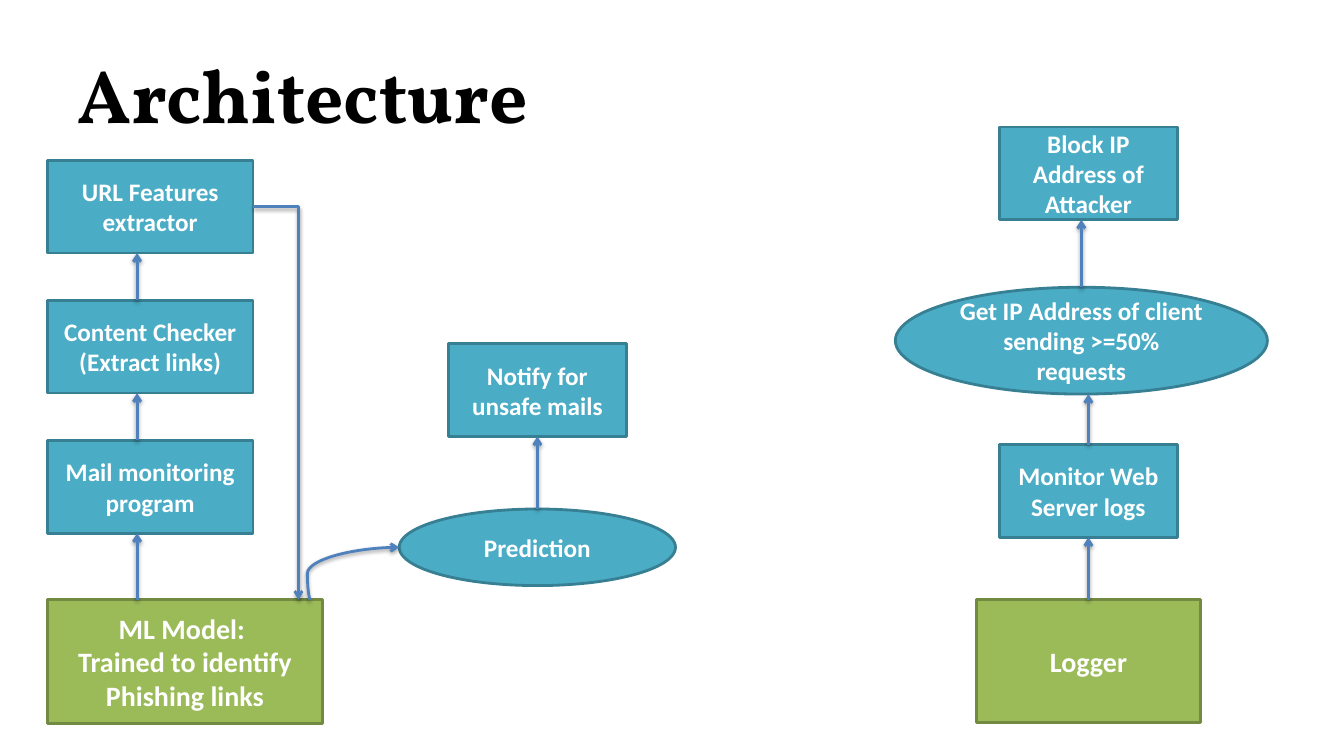
import pptx
import pptx.util
import pptx.dml.color
import pptx.enum.shapes
import pptx.enum.text
import pptx.oxml
import pptx.oxml.ns
from lxml import etree

Inches = pptx.util.Inches
SHAPES = pptx.enum.shapes.MSO_SHAPE
LINES = pptx.enum.shapes.MSO_CONNECTOR
ALIGN = pptx.enum.text.PP_ALIGN
MIDDLE = pptx.enum.text.MSO_ANCHOR.MIDDLE

COLOURS = {
    "title": "000000",
    "text": "FFFFFF",
    "step": "4BACC6",
    "step_line": "377F92",
    "source": "9BBB59",
    "source_line": "738A42",
    "arrow": "4F81BD",
    "shadow": "000000",
}
STEP_HEIGHT = 0.92
NARROW_STEP = 1.77


def colour(name):
    """Return the named colour."""
    return pptx.dml.color.RGBColor.from_string(COLOURS[name])


def format_text(frame, lines, align, tone, **font_values):
    """Fill a text frame with paragraphs in one font format."""
    frame.word_wrap = True
    frame.vertical_anchor = MIDDLE
    for index, line in enumerate(lines):
        para = frame.add_paragraph() if index else frame.paragraphs[0]
        para.alignment = align
        span = para.add_run()
        span.text = line
        for name, value in font_values.items():
            setattr(span.font, name, value)
        span.font.color.rgb = colour(tone)


def add_node(page, box, lines, kind="step", outline=SHAPES.RECTANGLE):
    """Draw one labelled node of the diagram."""
    node = page.shapes.add_shape(outline, *map(Inches, box))
    node.shadow.inherit = False
    node.fill.solid()
    node.fill.fore_color.rgb = colour(kind)
    node.line.color.rgb = colour(kind + "_line")
    node.line.width = pptx.util.Pt(2)
    size = pptx.util.Pt(20 if kind == "source" else 18)
    format_text(node.text_frame, lines, ALIGN.CENTER, "text",
                name="Calibri", size=size, bold=True)
    return node


def add_arrow(page, start, end, route=LINES.STRAIGHT):
    """Draw a shadowed arrow between two points."""
    arrow = page.shapes.add_connector(route, *start, *end)
    arrow.line.color.rgb = colour("arrow")
    arrow.line.width = pptx.util.Pt(2)
    qn = pptx.oxml.ns.qn
    properties = arrow._element.spPr
    etree.SubElement(properties.find(qn("a:ln")), qn("a:tailEnd"), type="arrow")
    effects = etree.SubElement(properties, qn("a:effectLst"))
    shadow = etree.SubElement(effects, qn("a:outerShdw"), blurRad="39370",
                              dist="20320", dir="5400000", rotWithShape="0")
    tone = etree.SubElement(shadow, qn("a:srgbClr"), val=COLOURS["shadow"])
    etree.SubElement(tone, qn("a:alpha"), val="38000")
    return arrow


def reshape_route(arrow, preset, **adjustments):
    """Set the preset route of a connector and its adjustments."""
    qn = pptx.oxml.ns.qn
    geometry = arrow._element.spPr.find(qn("a:prstGeom"))
    geometry.set("prst", preset)
    guides = geometry.find(qn("a:avLst"))
    for name, value in adjustments.items():
        etree.SubElement(guides, qn("a:gd"), name=name, fmla=f"val {value}")


def link_upward(page, nodes, x):
    """Join nodes listed from top to bottom with upward arrows."""
    for upper, lower in zip(nodes, nodes[1:]):
        add_arrow(page, (Inches(x), lower.top),
                  (Inches(x), upper.top + upper.height))


def draw_title(page, box):
    """Place and format the slide title."""
    title = page.shapes.title
    for name, value in zip(("left", "top", "width", "height"), box):
        setattr(title, name, Inches(value))
    format_text(title.text_frame, ["Architecture"], ALIGN.LEFT, "title",
                name="Vollkorn", size=pptx.util.Pt(54), bold=True)


def draw_mail_column(page, box):
    """Draw the mail steps above the model and return the model."""
    left, top, width, height = box
    model_height, step_width, pitch = 1.23, 2.04, 1.39
    steps = [
        ["URL Features extractor"],
        ["Content Checker", "(Extract links)"],
        ["Mail monitoring program"],
    ]
    nodes = [
        add_node(page, (left, top + row * pitch, step_width, STEP_HEIGHT), lines)
        for row, lines in enumerate(steps)
    ]
    model = add_node(page, (left, top + height - model_height, width, model_height),
                     ["ML Model: ", "Trained to identify Phishing links"], "source")
    link_upward(page, nodes + [model], left + 0.89)
    extractor = nodes[0]
    feed = add_arrow(page, (extractor.left + extractor.width,
                            extractor.top + extractor.height // 2),
                     (Inches(left + 2.49), model.top), LINES.ELBOW)
    reshape_route(feed, "bentConnector2")
    return model


def draw_prediction(page, box, model):
    """Draw the prediction fed by the model and its notification."""
    left, top, width, height = box
    oval_height = 0.76
    centre = left + width / 2
    notice = add_node(page, (centre - NARROW_STEP / 2, top, NARROW_STEP, STEP_HEIGHT),
                      ["Notify for unsafe mails"])
    prediction = add_node(page, (left, top + height - oval_height, width, oval_height),
                          ["Prediction"], outline=SHAPES.OVAL)
    link_upward(page, [notice, prediction], centre)
    curve = add_arrow(page, (model.left + Inches(2.61), model.top),
                      (prediction.left, prediction.top + prediction.height // 2),
                      LINES.CURVE)
    reshape_route(curve, "curvedConnector3", adj1=-3600)


def draw_log_column(page, box):
    """Draw the web log steps from monitoring to blocking."""
    left, top, width, height = box
    centre = left + width / 2 + 0.07
    parts = [
        (0, NARROW_STEP, STEP_HEIGHT, "Block IP Address of Attacker", "step", SHAPES.RECTANGLE),
        (1.59, width, 1.06, "Get IP Address of client sending >=50% requests",
         "step", SHAPES.OVAL),
        (3.15, NARROW_STEP, STEP_HEIGHT, "Monitor Web Server logs", "step", SHAPES.RECTANGLE),
        (height - 1.22, 2.22, 1.22, "Logger", "source", SHAPES.RECTANGLE),
    ]
    nodes = []
    for offset, node_width, node_height, label, kind, outline in parts:
        middle = left + width / 2 if outline == SHAPES.OVAL else centre
        node_box = (middle - node_width / 2, top + offset, node_width, node_height)
        nodes.append(add_node(page, node_box, [label], kind, outline))
    link_upward(page, nodes[:2], left + width / 2)
    link_upward(page, nodes[1:], centre)


def main():
    """Build and save the slide."""
    deck = pptx.Presentation()
    deck.slide_width, deck.slide_height = Inches(13.33), Inches(7.5)
    page = deck.slides.add_slide(deck.slide_layouts[5])
    draw_title(page, (0.67, 0.3, 12, 1.25))
    model = draw_mail_column(page, (0.47, 1.59, 2.73, 5.59))
    draw_prediction(page, (3.96, 3.41, 2.74, 2.4), model)
    draw_log_column(page, (8.88, 1.26, 3.69, 5.91))
    deck.save("out.pptx")


if __name__ == "__main__":
    main()
